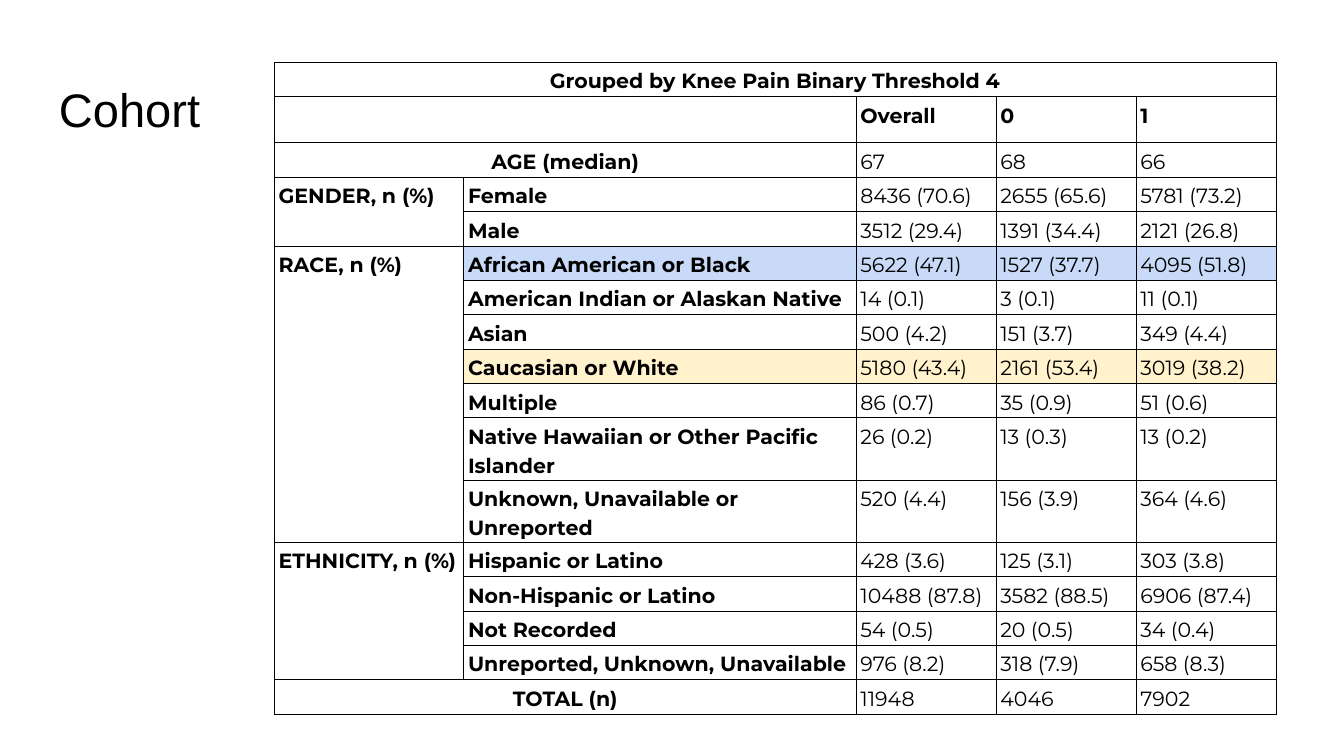
import pptx
import pptx.util
import pptx.dml.color
import pptx.enum.text
import pptx.oxml
import pptx.oxml.ns

Pt = pptx.util.Pt
ALIGN = pptx.enum.text.PP_ALIGN
COLORS = {"ink": "000000", "blue": "C9DAF8", "yellow": "FFF2CC"}
COLUMN_WIDTHS = [101.5, 210.2, 75, 75, 75]
ROW_HEIGHT = 18.43
HEADING_HEIGHT = 23
COHORT = [
    ["Grouped by Knee Pain Binary Threshold 4", "", "", "", ""],
    ["", "", "Overall", "0", "1"],
    ["AGE (median)", "", "67", "68", "66"],
    ["GENDER, n (%)", "Female", "8436 (70.6)", "2655 (65.6)", "5781 (73.2)"],
    ["", "Male", "3512 (29.4)", "1391 (34.4)", "2121 (26.8)"],
    ["RACE, n (%)", "African American or Black", "5622 (47.1)", "1527 (37.7)", "4095 (51.8)"],
    ["", "American Indian or Alaskan Native", "14 (0.1)", "3 (0.1)", "11 (0.1)"],
    ["", "Asian", "500 (4.2)", "151 (3.7)", "349 (4.4)"],
    ["", "Caucasian or White", "5180 (43.4)", "2161 (53.4)", "3019 (38.2)"],
    ["", "Multiple", "86 (0.7)", "35 (0.9)", "51 (0.6)"],
    ["", "Native Hawaiian or Other Pacific Islander", "26 (0.2)", "13 (0.3)", "13 (0.2)"],
    ["", "Unknown, Unavailable or Unreported", "520 (4.4)", "156 (3.9)", "364 (4.6)"],
    ["ETHNICITY, n (%)", "Hispanic or Latino", "428 (3.6)", "125 (3.1)", "303 (3.8)"],
    ["", "Non-Hispanic or Latino", "10488 (87.8)", "3582 (88.5)", "6906 (87.4)"],
    ["", "Not Recorded", "54 (0.5)", "20 (0.5)", "34 (0.4)"],
    ["", "Unreported, Unknown, Unavailable", "976 (8.2)", "318 (7.9)", "658 (8.3)"],
    ["TOTAL (n)", "", "11948", "4046", "7902"],
]
MERGES = [(0, 0, 0, 4), (1, 0, 1, 1), (2, 0, 2, 1), (16, 0, 16, 1),
          (3, 0, 4, 0), (5, 0, 11, 0), (12, 0, 15, 0)]
CENTERED_ROWS = {0, 2, 16}
HIGHLIGHTS = {"African American or Black": "blue", "Caucasian or White": "yellow"}


def color(name):
    return pptx.dml.color.RGBColor.from_string(COLORS[name])


def write(frame, text, size=11, font="Montserrat", bold=False, align=ALIGN.LEFT, spacing=1.15):
    paragraph = frame.paragraphs[0]
    paragraph.alignment = align
    paragraph.line_spacing = spacing
    run = paragraph.add_run()
    run.text = text
    run.font.size = Pt(size)
    run.font.name = font
    run.font.bold = bold
    run.font.color.rgb = color("ink")


def add_borders(cell):
    properties = cell._tc.get_or_add_tcPr()
    for side in ("lnL", "lnR", "lnT", "lnB"):
        properties.append(pptx.oxml.parse_xml(
            f'<a:{side} {pptx.oxml.ns.nsdecls("a")} w="{Pt(0.6)}"><a:solidFill>'
            f'<a:srgbClr val="{COLORS["ink"]}"/></a:solidFill></a:{side}>'))


def add_title(slide, left, top, width, height):
    frame = slide.shapes.add_textbox(Pt(left), Pt(top), Pt(width), Pt(height)).text_frame
    frame.word_wrap = True
    frame.margin_left = frame.margin_right = frame.margin_top = frame.margin_bottom = Pt(7.2)
    frame.vertical_anchor = pptx.enum.text.MSO_ANCHOR.MIDDLE
    write(frame, "Cohort", size=25.2, font="Arial", spacing=1)


def add_cohort_table(slide, left, top, width, height):
    cohort = slide.shapes.add_table(len(COHORT), len(COLUMN_WIDTHS), Pt(left), Pt(top),
                                    Pt(width), Pt(height)).table
    cohort.first_row = cohort.horz_banding = False
    for column, share in zip(cohort.columns, COLUMN_WIDTHS):
        column.width = Pt(width * share / sum(COLUMN_WIDTHS))
    for r, values in enumerate(COHORT):
        cohort.rows[r].height = Pt(HEADING_HEIGHT if r == 1 else ROW_HEIGHT)
        highlight = HIGHLIGHTS.get(values[1])
        for c, value in enumerate(values):
            cell = cohort.cell(r, c)
            cell.margin_left = cell.margin_right = Pt(2.25)
            cell.margin_top = cell.margin_bottom = Pt(1.5)
            centered = c == 0 and r in CENTERED_ROWS
            write(cell.text_frame, value, bold=c < 2 or r == 1,
                  align=ALIGN.CENTER if centered else ALIGN.LEFT)
            add_borders(cell)
            if highlight and c > 0:
                cell.fill.solid()
                cell.fill.fore_color.rgb = color(highlight)
            else:
                cell.fill.background()
    for first_row, first_column, last_row, last_column in MERGES:
        cohort.cell(first_row, first_column).merge(cohort.cell(last_row, last_column))


def main():
    deck = pptx.Presentation()
    deck.slide_width, deck.slide_height = Pt(720), Pt(405)
    slide = deck.slides.add_slide(deck.slide_layouts[6])
    add_title(slide, 24.5, 35.5, 671, 45)
    add_cohort_table(slide, 147, 33.5, sum(COLUMN_WIDTHS),
                     ROW_HEIGHT * (len(COHORT) - 1) + HEADING_HEIGHT)
    deck.save("out.pptx")


if __name__ == "__main__":
    main()
